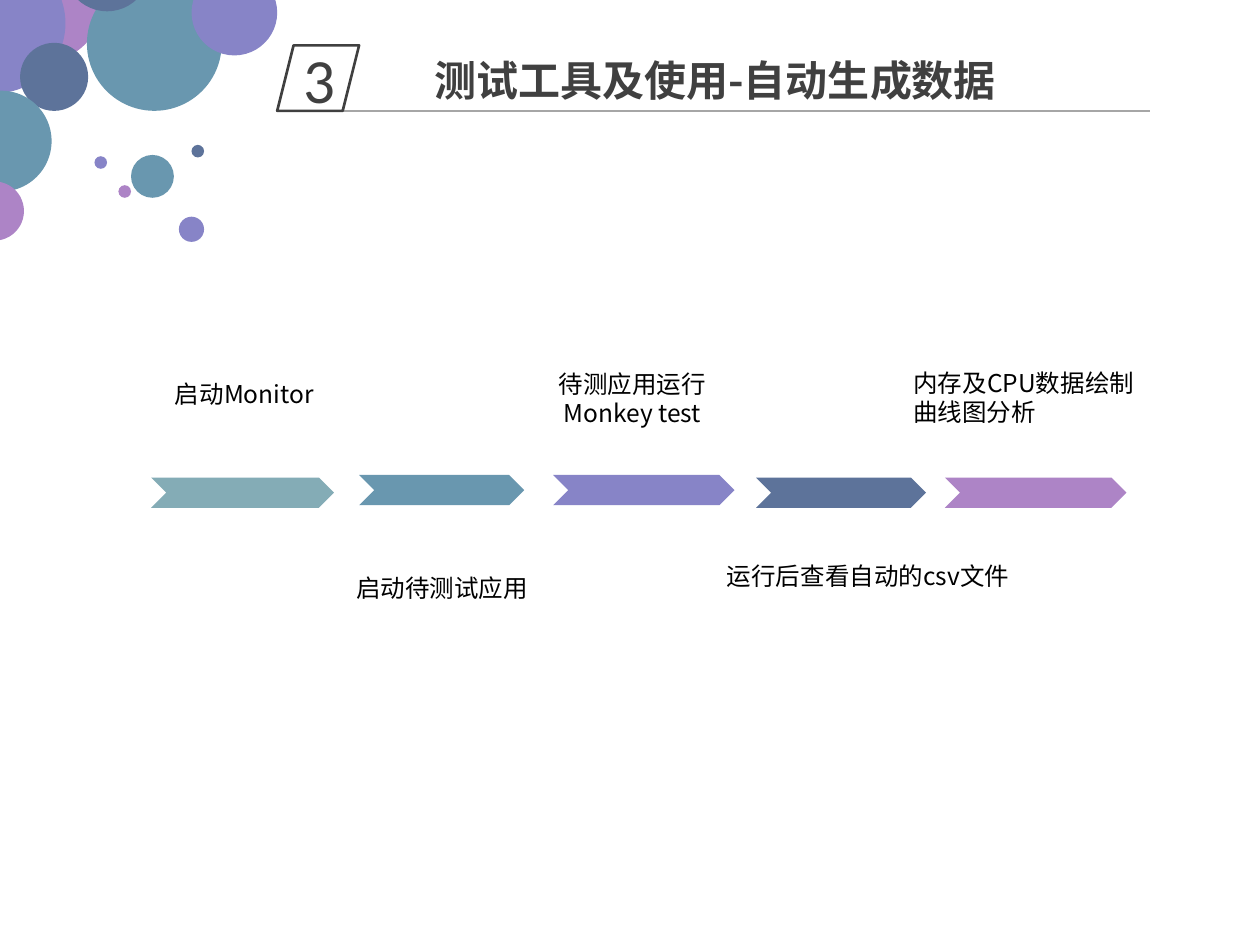
"""Build a slide showing five test steps as a row of chevrons under a numbered title."""
import pptx
import pptx.util
import pptx.oxml
import pptx.oxml.ns
import pptx.dml.color
import pptx.enum.shapes
import pptx.enum.text

COLORS = {
    "sage": "84ACB6", "teal": "6997AF", "violet": "8784C7", "navy": "5D739A",
    "orchid": "AD84C6", "dark": "404040", "rule": "A6A6A6", "black": "000000",
    "white": "FFFFFF",
}
SHAPE = pptx.enum.shapes.MSO_SHAPE
ALIGN = pptx.enum.text.PP_ALIGN
CJK = "Noto Sans CJK SC"

prs = pptx.Presentation()
prs.slide_width = pptx.util.Inches(10)
prs.slide_height = pptx.util.Inches(7.5)
COL = prs.slide_width / 100
ROW = prs.slide_height / 75
s = prs.slides.add_slide(prs.slide_layouts[6])
s.background.fill.solid()
s.background.fill.fore_color.rgb = pptx.dml.color.RGBColor.from_string(COLORS["white"])


def add_filled(shapes, kind, x, y, w, h, color):
    sp = shapes.add_shape(kind, int(x * COL), int(y * ROW), int(w * COL), int(h * ROW))
    sp.shadow.inherit = False
    sp.fill.solid()
    sp.fill.fore_color.rgb = pptx.dml.color.RGBColor.from_string(COLORS[color])
    sp.line.fill.background()
    return sp


def write(sp, text, size, font, color, align, bold=False):
    tf = sp.text_frame
    tf.word_wrap = True
    tf.text = text
    p = tf.paragraphs[0]
    p.alignment = align
    r = p.runs[0]
    r.font.size = pptx.util.Pt(size)
    r.font.bold = bold
    r.font.name = font
    r.font.color.rgb = pptx.dml.color.RGBColor.from_string(COLORS[color])
    ea = pptx.oxml.parse_xml(f'<a:ea {pptx.oxml.ns.nsdecls("a")} typeface="{font}"/>')
    r.font._element.find(pptx.oxml.ns.qn("a:latin")).addnext(ea)


bubbles = [
    (-1.2, -4.4, 9.3, "orchid"), (-5.9, -3.7, 11.1, "violet"),
    (1.6, 3.4, 5.4, "navy"), (-3.9, 7.2, 8, "teal"),
    (6.9, -1.9, 10.7, "teal"), (5.1, -5.9, 6.8, "navy"),
    (-2.8, 14.4, 4.7, "orchid"), (10.4, 12.3, 3.4, "teal"),
    (9.4, 14.7, 1, "orchid"), (7.5, 12.4, 1, "violet"),
    (15.2, 11.5, 1, "navy"), (14.2, 17.2, 2, "violet"),
    (15.2, -2.4, 6.8, "violet"),
]
group = s.shapes.add_group_shape()
for x, y, d, color in bubbles:
    add_filled(group.shapes, SHAPE.OVAL, x, y, d, d, color)

rule = s.shapes.add_connector(
    pptx.enum.shapes.MSO_CONNECTOR.STRAIGHT,
    int(26.8 * COL), int(8.8 * ROW), int(91.3 * COL), int(8.8 * ROW))
rule.line.width = pptx.util.Pt(0.79)
rule.line.color.rgb = pptx.dml.color.RGBColor.from_string(COLORS["rule"])
rule._element.spPr.append(
    pptx.oxml.parse_xml(f'<a:effectLst {pptx.oxml.ns.nsdecls("a")}/>'))

badge = add_filled(s.shapes, SHAPE.PARALLELOGRAM, 22, 3.6, 6.5, 5.2, "white")
badge.fill.background()
badge.line.color.rgb = pptx.dml.color.RGBColor.from_string(COLORS["dark"])
badge.line.width = pptx.util.Pt(1.5)
badge.text_frame.vertical_anchor = pptx.enum.text.MSO_ANCHOR.MIDDLE
write(badge, "3", 36, "Calibri", "dark", ALIGN.CENTER)

title = s.shapes.add_textbox(int(33.5 * COL), int(3.8 * ROW), int(51.3 * COL), int(5 * ROW))
write(title, "测试工具及使用-自动生成数据", 24, CJK, "dark", ALIGN.LEFT, True)

steps = [
    ((12, 37.9, 14.5), "sage", (9.5, 29.6, 19.8, 3.4), "启动Monitor", ALIGN.CENTER),
    ((28.5, 37.7, 13.1), "teal", (25.2, 45, 19.8, 3.4), "启动待测试应用", ALIGN.CENTER),
    ((43.9, 37.7, 14.4), "violet", (40.3, 28.8, 19.8, 5.7), "待测应用运行Monkey test", ALIGN.CENTER),
    ((60, 37.9, 13.5), "navy", (56.7, 44, 24.4, 3.4), "运行后查看自动的csv文件", ALIGN.CENTER),
    ((75, 37.9, 14.4), "orchid", (71.5, 28.7, 21.2, 5.7), "内存及CPU数据绘制曲线图分析", ALIGN.LEFT),
]
for (x, y, w), color, (left, top, width, height), text, align in steps:
    add_filled(s.shapes, SHAPE.CHEVRON, x, y, w, 2.4, color)
    label = s.shapes.add_textbox(
        int(left * COL), int(top * ROW), int(width * COL), int(height * ROW))
    write(label, text, 14, CJK, "black", align)

prs.save("out.pptx")
